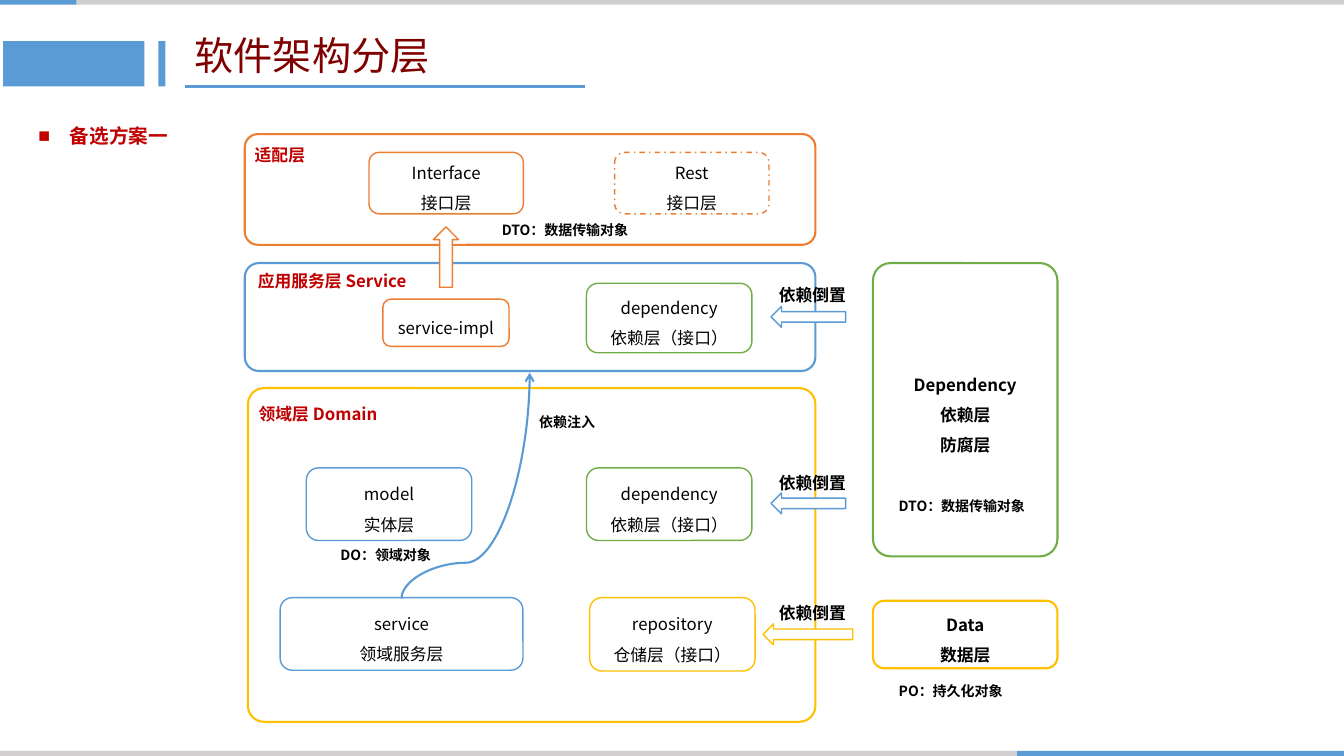
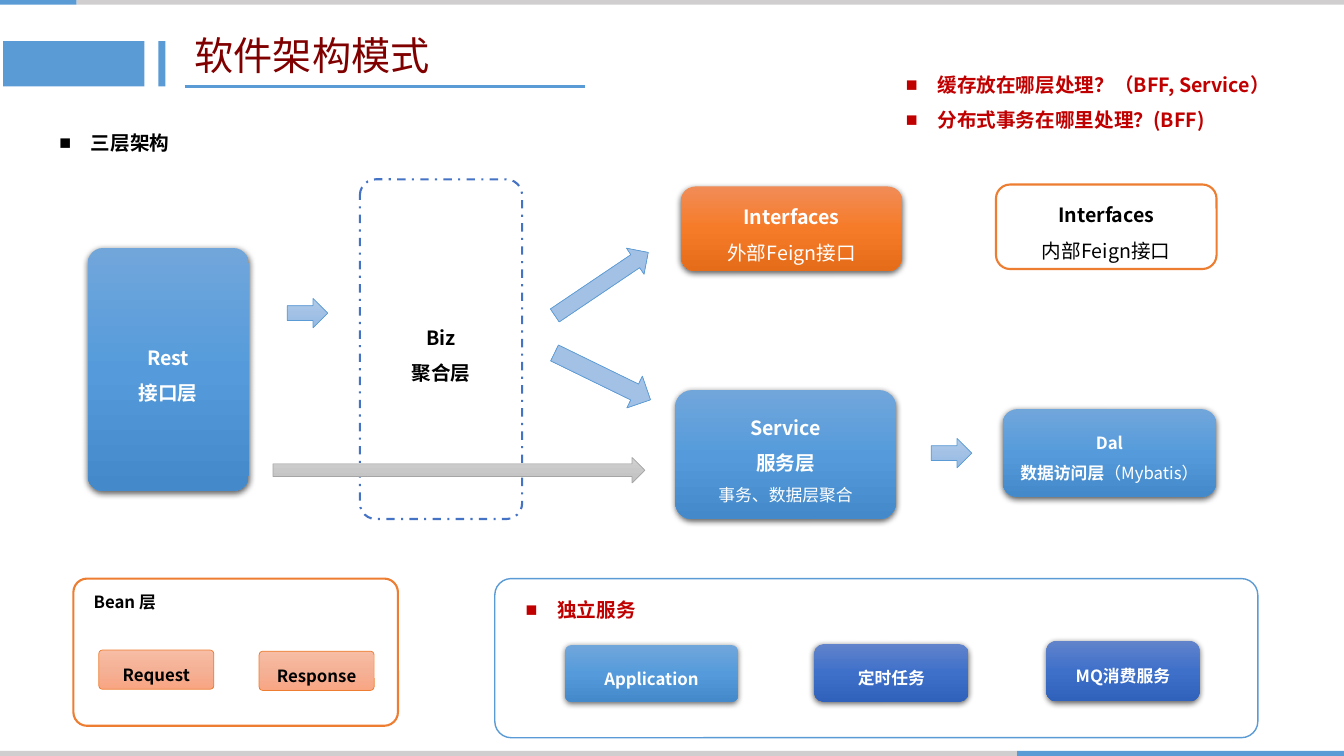
from copy import deepcopy

from lxml import etree
from pptx import Presentation
from pptx.dml.color import RGBColor
from pptx.enum import dml, shapes, text
from pptx.oxml import ns
from pptx.util import Cm, Pt

FONT = "Noto Sans CJK SC"
WHITE, BLACK, RED, MAROON = "FFFFFF", "000000", "C00000", "800000"
BLUE, NAVY, ORANGE = "5B9BD5", "4472C4", "ED7D31"
GREEN, GOLD, GREY, SILVER = "70AD47", "FFC000", "A5A5A5", "D0CECE"
BLUE_BLEND = ("71A6DB", "559BDB", "448ACA")
NAVY_BLEND = ("6183CB", "3E70CA", "3062BB")
ORANGE_BLEND = ("F18C57", "F67B28", "E56C19")
PEACH_BLEND = ("F7BDA5", "F5B196", "F8A582")
PALE_BLEND = ("B1CBE9", "A3C1E5", "93B9E4")
GREY_BLEND = ("D2D2D2", "C8C8C8", "C0C0C0")
colour = RGBColor.from_string
ROUND = shapes.MSO_SHAPE.ROUNDED_RECTANGLE
RIGHT = shapes.MSO_SHAPE.RIGHT_ARROW
LEFT = shapes.MSO_SHAPE.LEFT_ARROW
UP = shapes.MSO_SHAPE.UP_ARROW


def add_box(page, kind, place, fill, line=None, weight=1, corner=None, dash=False):
    box = page.shapes.add_shape(kind, *map(Cm, place))
    box.shadow.inherit = False
    if isinstance(fill, tuple):
        box.fill.gradient()
        box.fill.gradient_angle = 270
        stops = box.element.spPr.find(ns.qn("a:gradFill")).find(ns.qn("a:gsLst"))
        stops.insert(1, deepcopy(stops[0]))
        for stop, position, tint in zip(box.fill.gradient_stops, (0, 0.5, 1), fill):
            stop.position = position
            stop.color.rgb = colour(tint)
        if line is None:
            effects = box.element.spPr.find(ns.qn("a:effectLst"))
            shadow = etree.SubElement(effects, ns.qn("a:outerShdw"), blurRad="57150",
                                      dist="19050", dir="5400000", algn="ctr", rotWithShape="0")
            shade = etree.SubElement(shadow, ns.qn("a:srgbClr"), val=BLACK)
            etree.SubElement(shade, ns.qn("a:alpha"), val="63000")
    else:
        box.fill.solid()
        box.fill.fore_color.rgb = colour(fill)
    if line:
        box.line.color.rgb = colour(line)
        box.line.width = Pt(weight)
    else:
        box.line.fill.background()
    if dash:
        box.line.dash_style = dml.MSO_LINE.DASH_DOT
    if corner:
        box.adjustments[0] = corner
    return box


def write(box, lines, size=12, tint=BLACK, bold=False, spacing=1.5,
          align=text.PP_ALIGN.CENTER, bullet=False):
    frame = box.text_frame
    frame.text = lines
    frame.word_wrap = True
    frame.auto_size = text.MSO_AUTO_SIZE.NONE
    for para in frame.paragraphs:
        para.alignment = align
        para.line_spacing = spacing
        para.space_before = Pt(0)
        para.font.name = FONT
        para.font.size = Pt(size)
        para.font.bold = bold
        para.font.color.rgb = colour(tint)
        settings = para._p.pPr
        defaults = settings.find(ns.qn("a:defRPr"))
        etree.SubElement(defaults, ns.qn("a:ea"), typeface=FONT)
        if bullet:
            settings.set("marL", "285750")
            settings.set("indent", "-285750")
            for tag, key, value in (("a:buFont", "typeface", "Arial"), ("a:buChar", "char", "■")):
                mark = etree.Element(ns.qn(tag))
                mark.set(key, value)
                defaults.addprevious(mark)
    return frame


deck = Presentation()
deck.slide_width, deck.slide_height = Cm(33.87), Cm(19.05)
layout = deck.slide_layouts[1]
for holder in list(layout.placeholders):
    if holder.placeholder_format.idx >= 10:
        holder.element.getparent().remove(holder.element)
title = layout.placeholders[0]
title.left, title.top, title.width, title.height = map(Cm, (4.65, 0.71, 10.34, 1.47))

layers, patterns = [deck.slides.add_slide(layout) for _ in range(2)]

frame_parts = [
    add_box(layers, shapes.MSO_SHAPE.RECTANGLE, place, fill)
    for place, fill in (
        ((25.63, 18.92, 8.24, 0.13), BLUE),
        ((0, 18.92, 25.63, 0.13), SILVER),
        ((0, -0.03, 1.93, 0.15), BLUE),
        ((1.93, -0.03, 31.94, 0.15), SILVER),
        ((3.99, 1.04, 0.18, 1.14), BLUE),
        ((0.08, 1.04, 3.56, 1.14), BLUE),
    )
]
underline = layers.shapes.add_connector(
    shapes.MSO_CONNECTOR.STRAIGHT, Cm(4.65), Cm(2.18), Cm(14.73), Cm(2.18))
underline.line.color.rgb = colour(BLUE)
underline.line.width = Pt(2.25)
etree.SubElement(underline.element.spPr, ns.qn("a:effectLst"))
for part in frame_parts + [underline]:
    layout.shapes.element.append(part.element)

for page, heading, topic, tint, left, top in (
    (layers, "软件架构分层", "备选方案一", RED, 0.71, 2.69),
    (patterns, "软件架构模式", "三层架构", BLACK, 1.24, 2.87),
):
    write(page.shapes.title, heading, 28, MAROON, spacing=0.9, align=text.PP_ALIGN.LEFT)
    body = page.placeholders[1]
    body.left, body.top, body.width, body.height = map(Cm, (left, top, 6.05, 1.14))
    write(body, topic, 14, tint, True, align=text.PP_ALIGN.LEFT, bullet=True)

for place, line, corner, lines in (
    ((6.17, 3.38, 14.38, 2.79), ORANGE, 0.118, ""),
    ((6.17, 6.63, 14.38, 2.72), BLUE, 0.13, ""),
    ((6.25, 9.78, 14.3, 8.41), GOLD, 0.048, ""),
    ((22, 6.63, 4.65, 7.39), GREEN, 0.095, "Dependency\n依赖层\n防腐层"),
    ((22, 15.14, 4.65, 1.7), GOLD, None, "Data\n数据层"),
):
    panel = add_box(layers, ROUND, place, WHITE, line, 1.5, corner)
    if lines:
        write(panel, lines, bold=True)

for place, line, lines in (
    ((9.3, 3.84, 3.89, 1.55), ORANGE, "Interface\n接口层"),
    ((15.49, 3.84, 3.89, 1.55), ORANGE, "Rest\n接口层"),
    ((9.65, 7.54, 3.18, 1.19), ORANGE, "service-impl"),
    ((14.78, 7.14, 4.17, 1.75), GREEN, "dependency\n依赖层（接口）"),
    ((7.72, 11.79, 4.17, 1.83), BLUE, "model\n实体层"),
    ((14.78, 11.79, 4.17, 1.83), GREEN, "dependency\n依赖层（接口）"),
    ((7.06, 15.06, 6.12, 1.83), BLUE, "service\n领域服务层"),
    ((14.86, 15.06, 4.17, 1.85), GOLD, "repository\n仓储层（接口）"),
):
    write(add_box(layers, ROUND, place, WHITE, line, dash=lines.startswith("Rest")), lines)

for kind, place, line in (
    (UP, (10.92, 5.72, 0.64, 1.52), ORANGE),
    (LEFT, (19.43, 7.72, 1.88, 0.53), BLUE),
    (LEFT, (19.43, 12.42, 1.88, 0.53), BLUE),
    (LEFT, (19.23, 15.72, 2.26, 0.53), GOLD),
):
    add_box(layers, kind, place, WHITE, line)

injection = layers.shapes.add_connector(
    shapes.MSO_CONNECTOR.CURVE, Cm(8.89), Cm(10.62), Cm(14.58), Cm(13.85))
injection.line.color.rgb = colour(BLUE)
injection.line.width = Pt(1.5)
etree.SubElement(injection.line._get_or_add_ln(), ns.qn("a:tailEnd"), type="arrow")
outline = injection.element.spPr
outline.find(ns.qn("a:xfrm")).set("rot", "16200000")
bends = outline.find(ns.qn("a:prstGeom")).find(ns.qn("a:avLst"))
etree.SubElement(bends, ns.qn("a:gd"), name="adj1", fmla="val 15800")
etree.SubElement(outline, ns.qn("a:effectLst"))

PANEL = {ROUND: WHITE}
for place, line, weight, corner in (
    ((12.47, 14.58, 19.23, 4.01), BLUE, 1, 0.103),
    ((1.85, 14.58, 8.18, 3.71), ORANGE, 1.5, 0.093),
):
    add_box(patterns, ROUND, place, WHITE, line, weight, corner)

for place, fill, line, weight, corner, size, tint, lines in (
    ((2.21, 6.25, 4.06, 6.12), BLUE_BLEND, None, 0, 0.096, 14, WHITE, "Rest\n接口层"),
    ((9.07, 4.52, 4.09, 8.56), WHITE, NAVY, 1.5, 0.098, 14, BLACK, "Biz\n聚合层"),
    ((17.17, 4.7, 5.56, 2.13), ORANGE_BLEND, None, 0, None, 14, WHITE, "Interfaces\n外部Feign接口"),
    ((25.1, 4.65, 5.56, 2.13), WHITE, ORANGE, 1.5, None, 14, BLACK, "Interfaces\n内部Feign接口"),
    ((17.02, 9.83, 5.56, 3.25), BLUE_BLEND, None, 0, 0.129, 14, WHITE, "Service\n服务层\n事务、数据层聚合"),
    ((25.27, 10.31, 5.38, 2.21), BLUE_BLEND, None, 0, None, 12, WHITE, "Dal\n数据访问层"),
    ((14.25, 16.26, 4.34, 1.42), BLUE_BLEND, None, 0, 0.096, 12, WHITE, "Application"),
    ((20.52, 16.23, 3.89, 1.45), NAVY_BLEND, None, 0, None, 12, WHITE, "定时任务"),
    ((26.37, 16.15, 3.86, 1.52), NAVY_BLEND, None, 0, None, 12, WHITE, "MQ消费服务"),
    ((2.49, 16.38, 2.9, 0.99), PEACH_BLEND, ORANGE, 0.5, 0.096, 12, BLACK, "Request"),
    ((6.53, 16.41, 2.9, 0.99), PEACH_BLEND, ORANGE, 0.5, 0.096, 12, BLACK, "Response"),
):
    box = add_box(patterns, ROUND, place, fill, line, weight, corner, dash=line == NAVY)
    paras = write(box, lines, size, tint, True).paragraphs
    if lines.startswith("Interfaces"):
        paras[1].font.bold = False
    elif lines.startswith("Service"):
        paras[2].font.bold = False
        paras[2].font.size = Pt(12)
    elif lines.startswith("Dal"):
        span = paras[1].add_run()
        span.text = "（Mybatis）"
        span.font.bold = False

for place, rotation, fill, line in (
    ((7.24, 7.52, 1.02, 0.74), 0, PALE_BLEND, BLUE),
    ((13.74, 6.76, 2.84, 0.79), 326, PALE_BLEND, BLUE),
    ((13.84, 9.04, 2.69, 0.89), 26, PALE_BLEND, BLUE),
    ((6.88, 11.53, 9.37, 0.64), 0, GREY_BLEND, GREY),
    ((23.47, 11.05, 1.02, 0.74), 0, PALE_BLEND, BLUE),
):
    add_box(patterns, RIGHT, place, fill, line, 0.5).rotation = rotation

for page, place, size, tint, spacing, bullet, lines in (
    (layers, (6.17, 3.51, 3.18, 0.76), 12, RED, 1, False, "适配层"),
    (layers, (6.25, 6.71, 5.77, 0.76), 12, RED, 1, False, "应用服务层 Service"),
    (layers, (6.27, 10.06, 5.77, 0.76), 12, RED, 1, False, "领域层 Domain"),
    (layers, (19.38, 7.06, 2.74, 0.76), 12, BLACK, 1, False, "依赖倒置"),
    (layers, (19.38, 11.79, 2.74, 0.76), 12, BLACK, 1, False, "依赖倒置"),
    (layers, (19.38, 15.06, 2.74, 0.76), 12, BLACK, 1, False, "依赖倒置"),
    (layers, (12.4, 5.46, 4.72, 0.69), 10, BLACK, 1, False, "DTO：数据传输对象"),
    (layers, (22.4, 12.42, 4.72, 0.69), 10, BLACK, 1, False, "DTO：数据传输对象"),
    (layers, (8.33, 13.64, 3.43, 0.69), 10, BLACK, 1, False, "DO：领域对象"),
    (layers, (22.4, 17.07, 4.19, 0.69), 10, BLACK, 1, False, "PO：持久化对象"),
    (layers, (13.34, 10.29, 2.24, 0.69), 10, BLACK, 1, False, "依赖注入"),
    (patterns, (2.11, 14.78, 3.61, 0.76), 12, BLACK, 1, False, "Bean 层"),
    (patterns, (13, 14.94, 3.81, 0.86), 14, RED, 1, True, "独立服务"),
    (patterns, (22.58, 1.42, 10.74, 2.06), 14, RED, 1.5, True,
     "缓存放在哪层处理？（BFF, Service）\n分布式事务在哪里处理？(BFF)"),
):
    label = page.shapes.add_textbox(*map(Cm, place))
    write(label, lines, size, tint, True, spacing, text.PP_ALIGN.LEFT, bullet)

deck.save("out.pptx")
